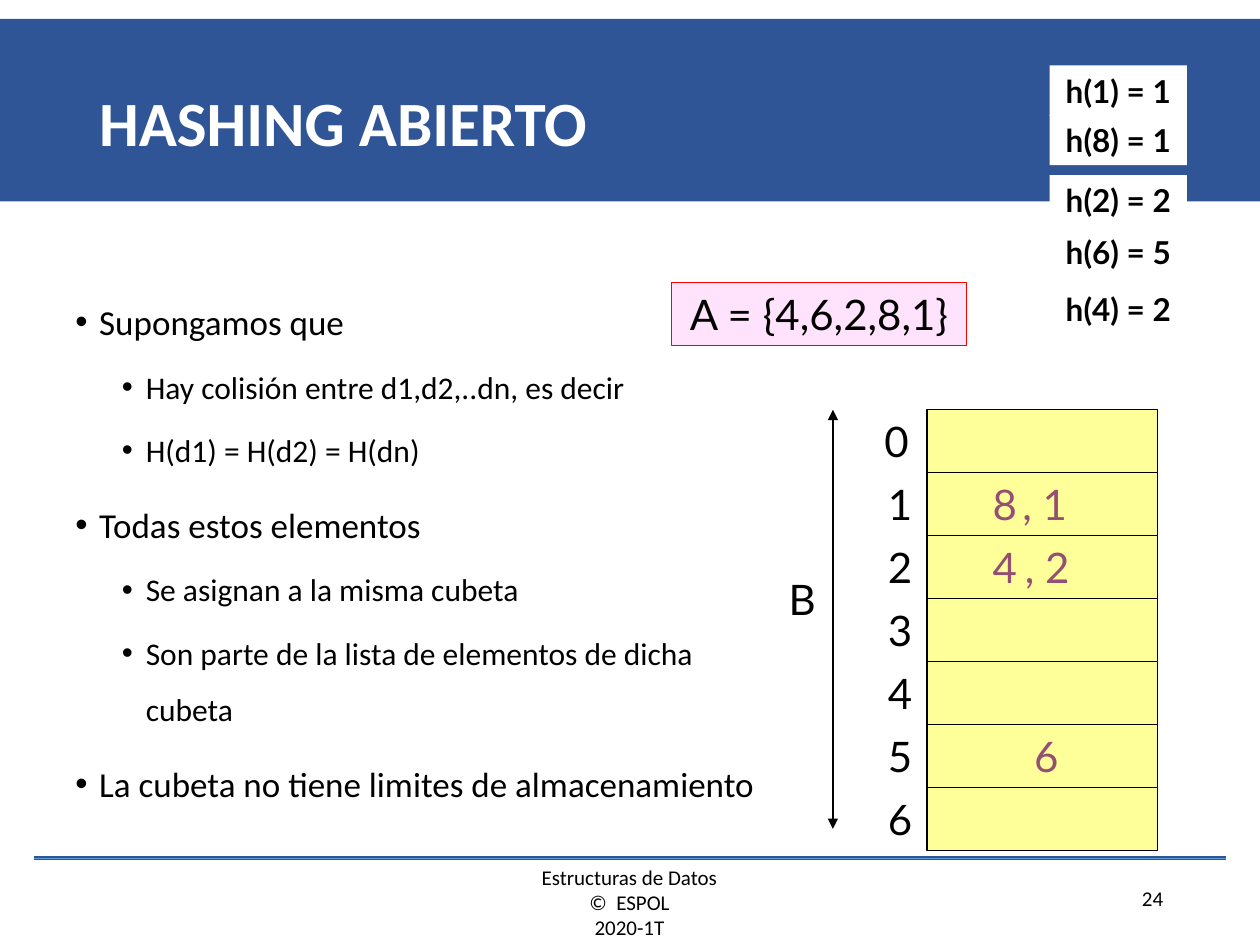
from lxml.etree import SubElement
from pptx import Presentation
from pptx.dml.color import RGBColor
from pptx.enum.shapes import MSO_CONNECTOR, MSO_SHAPE
from pptx.enum.text import MSO_ANCHOR, PP_ALIGN
from pptx.oxml.ns import qn
from pptx.util import Cm, Pt

# Content
TITLE = "HASHING ABIERTO"
BULLETS = [
    (0, "Supongamos que"),
    (1, "Hay colisión entre d1,d2,..dn, es decir"),
    (1, "H(d1) = H(d2) = H(dn)"),
    (0, "Todas estos elementos"),
    (1, "Se asignan a la misma cubeta"),
    (1, "Son parte de la lista de elementos de dicha cubeta"),
    (0, "La cubeta no tiene limites de almacenamiento"),
]
LEVELS = [(0.48, 20, 7.5), (1.42, 18, 3.7)]  # indent in cm, size, space before
INPUT_SET = "A = {4,6,2,8,1}"
HASHES = [  # top in cm, text
    (5.72, "h(4) = 2"),
    (4.57, "h(6) = 5"),
    (3.53, "h(2) = 2"),
    (2.31, "h(8) = 1"),
    (1.32, "h(1) = 1"),
]
BUCKET_COUNT = 7
ENTRIES = [  # bucket, left in cm, width in cm, text
    (2, 19.76, 0.99, "4"),
    (5, 20.6, 0.99, "6"),
    (2, 20.4, 1.42, ", 2"),
    (1, 19.76, 0.99, "8"),
    (1, 20.35, 1.42, ", 1"),
]
FOOTER = ["Estructuras de Datos", "©  ESPOL", "2020-1T"]
PAGE_NUMBER = "24"

# Layout in cm
BUCKET_LEFT, BUCKET_TOP, BUCKET_WIDTH, BUCKET_HEIGHT = 18.69, 8.26, 4.65, 1.27
BLUE, BLACK, WHITE, PLUM = "2F5597", "000000", "FFFFFF", "954F72"


def color(value):
    return RGBColor.from_string(value)


def add_text(para, text, size, font="Lato", ink=BLACK, bold=False):
    span = para.add_run()
    span.text = text
    span.font.size = Pt(size)
    span.font.name = font
    span.font.bold = bold
    span.font.color.rgb = color(ink)


def add_box(page, left, top, width, height, wrap=True):
    box = page.shapes.add_textbox(Cm(left), Cm(top), Cm(width), Cm(height))
    box.text_frame.word_wrap = wrap
    return box


def add_label(page, left, top, width, text, ink=BLACK):
    box = add_box(page, left, top, width, BUCKET_HEIGHT, wrap=False)
    para = box.text_frame.paragraphs[0]
    para.alignment = PP_ALIGN.CENTER
    add_text(para, text, 24, ink=ink)


def add_rect(page, left, top, width, height, fill, line=None):
    rect = page.shapes.add_shape(
        MSO_SHAPE.RECTANGLE, Cm(left), Cm(top), Cm(width), Cm(height))
    rect.shadow.inherit = False
    rect.fill.solid()
    rect.fill.fore_color.rgb = color(fill)
    if line:
        rect.line.color.rgb = color(line)
        rect.line.width = Pt(0.75)
    else:
        rect.line.fill.background()
    return rect


def add_text_rect(page, left, top, width, height, fill, line, text, size, bold):
    rect = add_rect(page, left, top, width, height, fill, line)
    rect.text_frame.word_wrap = False
    rect.text_frame.vertical_anchor = MSO_ANCHOR.TOP
    para = rect.text_frame.paragraphs[0]
    para.alignment = PP_ALIGN.CENTER
    add_text(para, text, size, bold=bold)


def add_line(page, start, end, ink, width, arrows=False):
    line = page.shapes.add_connector(
        MSO_CONNECTOR.STRAIGHT, Cm(start[0]), Cm(start[1]), Cm(end[0]), Cm(end[1]))
    line.line.color.rgb = color(ink)
    line.line.width = Pt(width)
    properties = line._element.spPr
    if arrows:
        for tag in ("a:headEnd", "a:tailEnd"):
            SubElement(properties.find(qn("a:ln")), qn(tag), type="triangle")
    SubElement(properties, qn("a:effectLst"))


def add_bullet(para, indent):
    properties = para._p.get_or_add_pPr()
    properties.set("marL", str(Cm(indent)))
    properties.set("indent", str(-Cm(0.48)))
    SubElement(properties, qn("a:buFont"), typeface="Arial")
    SubElement(properties, qn("a:buChar"), char="•")


def main():
    deck = Presentation()
    deck.slide_width, deck.slide_height = Cm(25.4), Cm(19.05)
    page = deck.slides.add_slide(deck.slide_layouts[6])

    # Footer, page number and rule
    frame = add_box(page, 8.26, 17.3, 8.86, 1.78).text_frame
    for index, text in enumerate(FOOTER):
        para = frame.add_paragraph() if index else frame.paragraphs[0]
        para.alignment = PP_ALIGN.CENTER
        add_text(para, text, 12, "Calibri")
    para = add_box(page, 18.29, 17.73, 5.41, 0.79).text_frame.paragraphs[0]
    para.alignment = PP_ALIGN.RIGHT
    add_text(para, PAGE_NUMBER, 12, "Calibri")
    for ink, width in ((BLUE, 2.25), ("5B9BD5", 0.5)):
        add_line(page, (0.69, 17.3), (24.71, 17.3), ink, width)

    # Title band
    add_rect(page, 0, 0.38, 25.4, 3.68, BLUE)
    frame = add_box(page, 1.75, 1.02, 21.92, 3.05).text_frame
    frame.vertical_anchor = MSO_ANCHOR.MIDDLE
    frame.paragraphs[0].line_spacing = 0.9
    add_text(frame.paragraphs[0], TITLE, 36, "Calibri", WHITE, True)

    # Bullets
    frame = add_box(page, 1.27, 5.51, 14.6, 11.43).text_frame
    for index, (level, text) in enumerate(BULLETS):
        indent, size, space = LEVELS[level]
        para = frame.add_paragraph() if index else frame.paragraphs[0]
        add_bullet(para, indent)
        para.level = level
        para.line_spacing = 1.5
        if index:
            para.space_before = Pt(space)
        add_text(para, text, size, "Calibri")

    # Buckets with their numbers
    for number in range(BUCKET_COUNT):
        top = BUCKET_TOP + number * BUCKET_HEIGHT
        add_rect(page, BUCKET_LEFT, top, BUCKET_WIDTH, BUCKET_HEIGHT, "FFFF99", BLACK)
        add_label(page, 17.65 if number else 17.58, top, 0.99, str(number))
    add_line(page, (16.79, BUCKET_TOP), (16.79, 16.71), BLACK, 0.75, arrows=True)
    add_label(page, 15.65, 11.43, 1.04, "B")

    # Input set, hash values and stored entries
    add_text_rect(page, 13.54, 5.69, 5.94, 1.27, "FFE3FD", "FF0000", INPUT_SET, 24, False)
    for top, text in HASHES:
        add_text_rect(page, 21.16, top, 2.77, 1.02, WHITE, None, text, 18, True)
    for bucket, left, width, text in ENTRIES:
        add_label(page, left, BUCKET_TOP + bucket * BUCKET_HEIGHT, width, text, PLUM)

    deck.save("out.pptx")


if __name__ == "__main__":
    main()
